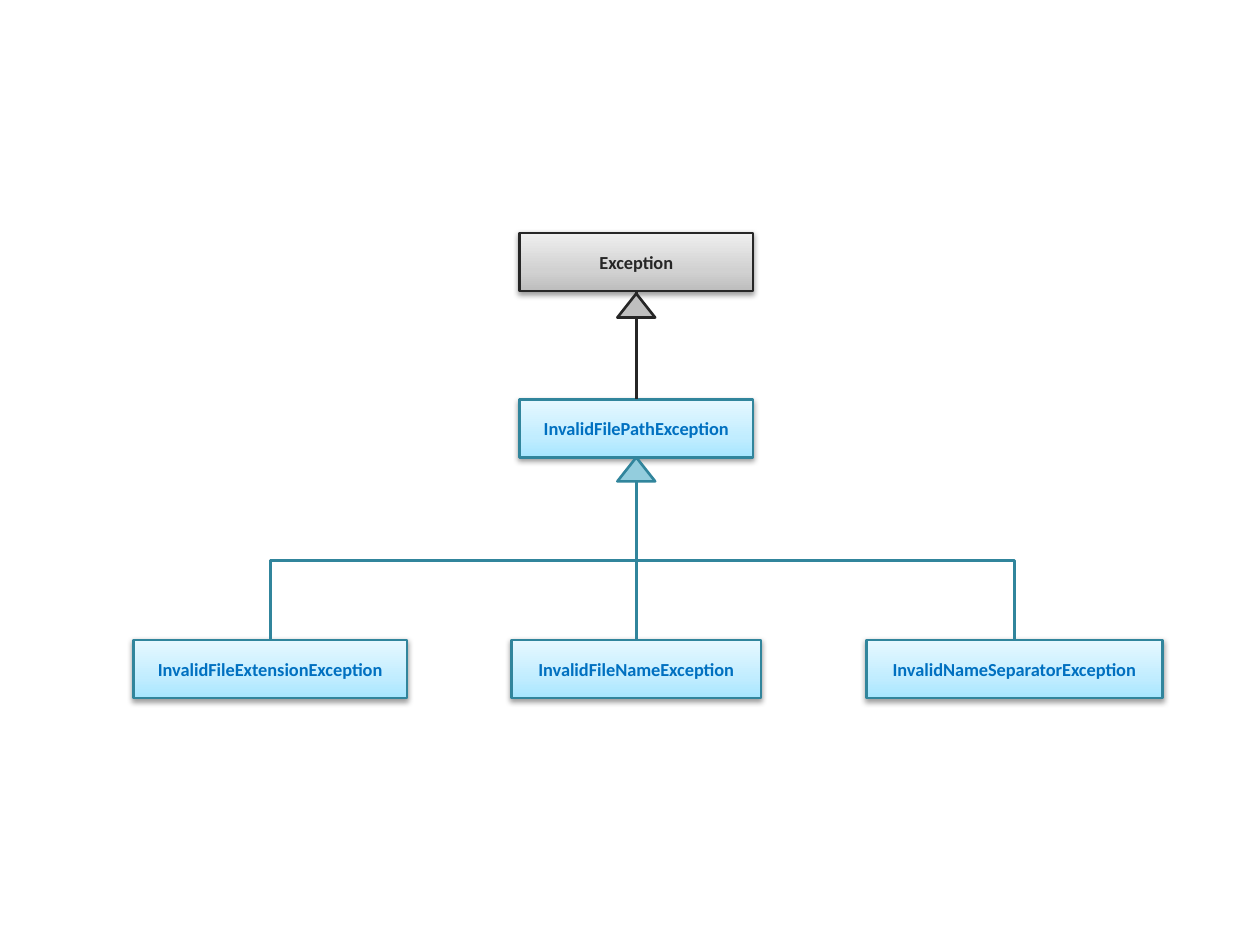
from copy import deepcopy

from lxml import etree
from pptx import Presentation
from pptx import util as u
from pptx.dml import color
from pptx.enum import shapes, text
from pptx.oxml import ns

COLUMNS, ROWS = 100, 75
BOX_HEIGHT = 4.6
CENTER = 50.5
BASE_ROW, PARENT_ROW, CHILD_ROW = 18.5, 31.7, 50.8
HEAD_WIDTH, HEAD_HEIGHT = 3, 1.9
GRAY = {"stops": ["BDBDBD", "D1D1D1", "EEEEEE"], "line": "262626", "text": "262626", "head": "BFBFBF"}
BLUE = {"stops": ["A7E6FF", "C1EDFF", "E7F8FF"], "line": "31859C", "text": "0070C0", "head": "93CDDD"}
CHILDREN = [
    ("InvalidFileExtensionException", 21.45, 21.7),
    ("InvalidFileNameException", CENTER, 19.8),
    ("InvalidNameSeparatorException", 80.5, 23.5),
]


def grid(cells):
    """Convert grid cells of a tenth of an inch to a length."""
    return u.Inches(cells / 10)


def rgb(value):
    """Turn a hex string into a colour."""
    return color.RGBColor.from_string(value)


def outline(shape, theme):
    """Give a shape or connector the line of its theme."""
    shape.line.color.rgb = rgb(theme["line"])
    shape.line.width = u.Pt(1.5)


def shade(box, stops):
    """Fill a box with a three-stop gradient that runs upwards."""
    box.fill.gradient()
    box.fill.gradient_angle = 90
    stop_list = box.fill._xPr.find(".//" + ns.qn("a:gsLst"))
    stop_list.append(deepcopy(stop_list[-1]))
    for stop, position, value in zip(box.fill.gradient_stops, (0, 0.35, 1), stops):
        stop.position = position
        stop.color.rgb = rgb(value)


def cast_shadow(box):
    """Put a soft shadow below a box."""
    box.shadow.inherit = False
    effects = box._element.spPr.find(ns.qn("a:effectLst"))
    shadow = etree.SubElement(effects, ns.qn("a:outerShdw"), blurRad="40000", dist="20000",
                              dir="5400000", rotWithShape="0")
    black = etree.SubElement(shadow, ns.qn("a:srgbClr"), val="000000")
    etree.SubElement(black, ns.qn("a:alpha"), val="38000")


def add_class(page, name, center, row, width, theme):
    """Add a class box centred on a column."""
    box = page.shapes.add_shape(shapes.MSO_SHAPE.RECTANGLE, grid(center - width / 2), grid(row),
                                grid(width), grid(BOX_HEIGHT))
    shade(box, theme["stops"])
    outline(box, theme)
    cast_shadow(box)
    frame = box.text_frame
    frame.word_wrap = True
    frame.vertical_anchor = text.MSO_ANCHOR.MIDDLE
    frame.text = name
    para = frame.paragraphs[0]
    para.alignment = text.PP_ALIGN.CENTER
    font = para.runs[0].font
    font.name, font.size, font.bold = "Calibri", u.Pt(10.5), True
    font.color.rgb = rgb(theme["text"])
    return box


def add_head(page, row, theme):
    """Add an inheritance triangle with its tip at a row."""
    head = page.shapes.add_shape(shapes.MSO_SHAPE.ISOSCELES_TRIANGLE, grid(CENTER - HEAD_WIDTH / 2),
                                 grid(row), grid(HEAD_WIDTH), grid(HEAD_HEIGHT))
    head.fill.solid()
    head.fill.fore_color.rgb = rgb(theme["head"])
    outline(head, theme)
    head.shadow.inherit = False


def add_link(page, kind, start, end, theme):
    """Add a connector between two grid points."""
    link = page.shapes.add_connector(kind, *map(grid, start + end))
    outline(link, theme)
    etree.SubElement(link._element.spPr, ns.qn("a:effectLst"))
    return link


def add_branch(page, center, top, theme):
    """Add an elbow that leaves the trunk downwards and ends above a child."""
    drop, reach = CHILD_ROW - top, abs(center - CENTER)
    left = (center + CENTER - drop) / 2
    upper = (top + CHILD_ROW - reach) / 2
    link = add_link(page, shapes.MSO_CONNECTOR.ELBOW, (left, upper), (left + drop, upper + reach), theme)
    frame = link._element.spPr.find(ns.qn("a:xfrm"))
    if center < CENTER:
        frame.set("rot", "5400000")
    else:
        frame.set("rot", "16200000")
        frame.set("flipH", "1")


def main():
    """Build the exception hierarchy."""
    deck = Presentation()
    deck.slide_width, deck.slide_height = grid(COLUMNS), grid(ROWS)
    page = deck.slides.add_slide(deck.slide_layouts[6])
    straight = shapes.MSO_CONNECTOR.STRAIGHT

    base = add_class(page, "Exception", CENTER, BASE_ROW, 18.5, GRAY)
    parent = add_class(page, "InvalidFilePathException", CENTER, PARENT_ROW, 18.5, BLUE)
    link = add_link(page, straight, (CENTER, BASE_ROW + BOX_HEIGHT), (CENTER, PARENT_ROW), GRAY)
    link.begin_connect(base, 2)
    link.end_connect(parent, 0)
    add_head(page, BASE_ROW + BOX_HEIGHT + 0.2, GRAY)

    trunk_top = PARENT_ROW + BOX_HEIGHT + HEAD_HEIGHT
    for name, center, width in CHILDREN:
        child = add_class(page, name, center, CHILD_ROW, width, BLUE)
        if center == CENTER:
            fork = (CENTER, (trunk_top + CHILD_ROW) / 2)
            add_link(page, straight, fork, (CENTER, CHILD_ROW), BLUE).end_connect(child, 0)
        else:
            add_branch(page, center, trunk_top, BLUE)
    add_head(page, PARENT_ROW + BOX_HEIGHT, BLUE)
    deck.save("out.pptx")


if __name__ == "__main__":
    main()
